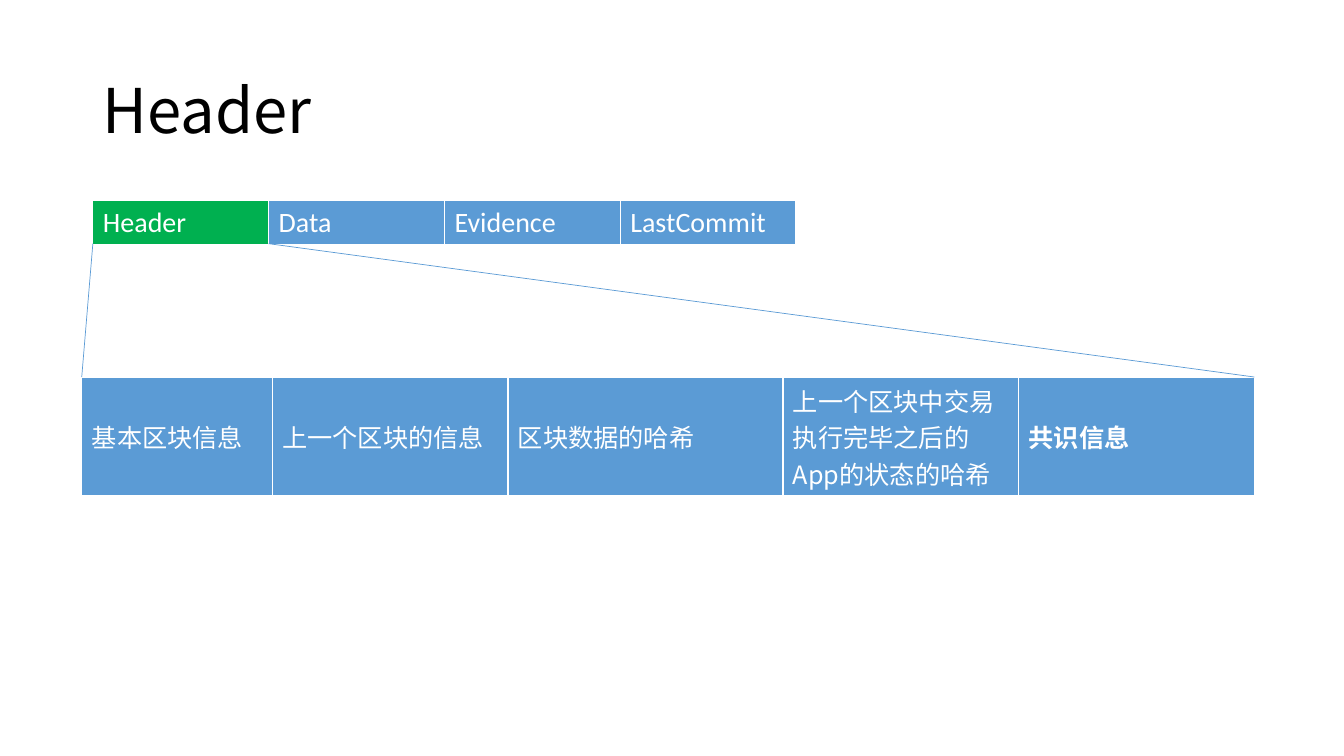
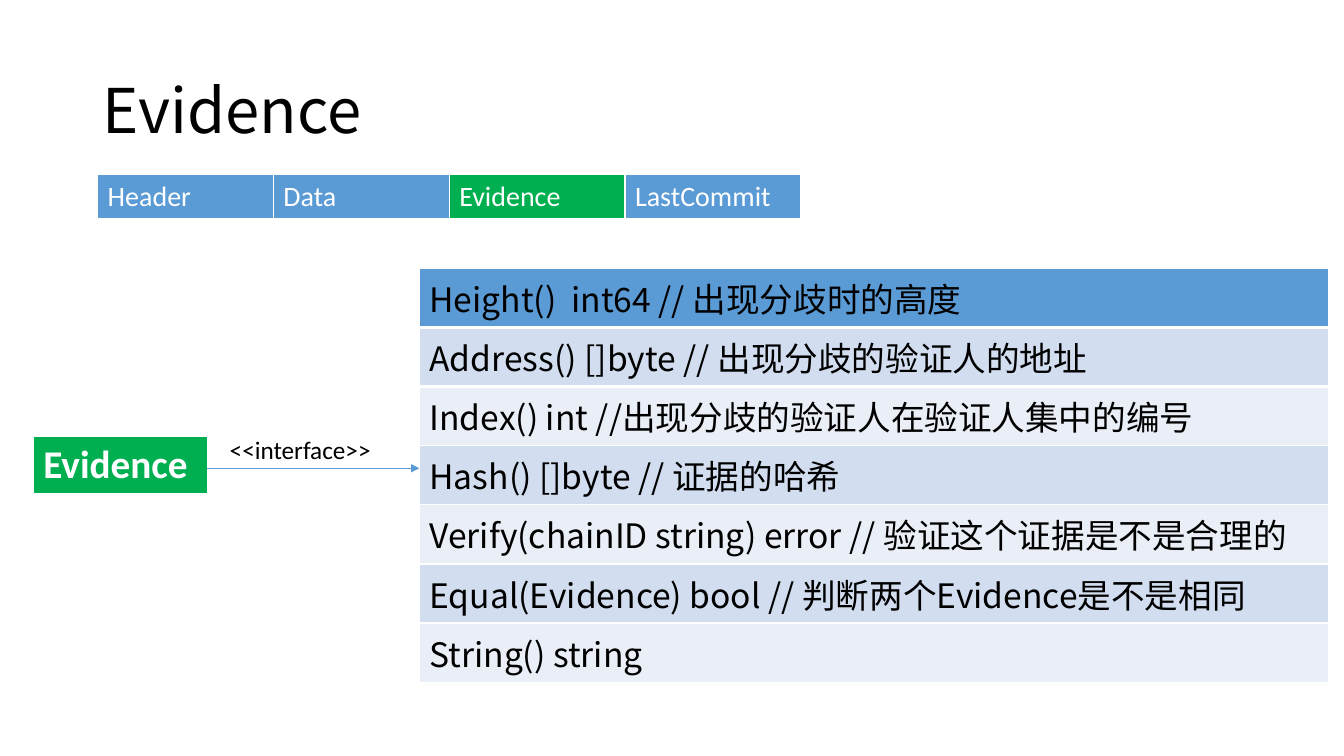
from lxml import etree
from pptx import Presentation
from pptx import util as u
from pptx.dml.color import RGBColor
from pptx.enum import shapes, text
from pptx.oxml.ns import qn

BLUE, GREEN, WHITE, BLACK = "5B9BD5", "00B050", "FFFFFF", "000000"
BANDS = ("D2DEEF", "EAEFF7")
LATIN, CJK = "Calibri", "Noto Sans CJK SC"
MIDDLE, TOP = text.MSO_ANCHOR.MIDDLE, text.MSO_ANCHOR.TOP

BLOCK_PARTS = ["Header", "Data", "Evidence", "LastCommit"]
PART_W, PART_H = 4.43, 1.09
HEADER_FIELDS = [
    ("基本区块信息", 4.8),
    ("上一个区块的信息", 5.94),
    ("区块数据的哈希", 6.93),
    ("上一个区块中交易执行完毕之后的App的状态的哈希", 5.94),
    ("共识信息", 5.94),
]
EVIDENCE_METHODS = [
    "Height()  int64 // 出现分歧时的高度",
    "Address() []byte // 出现分歧的验证人的地址",
    "Index() int //出现分歧的验证人在验证人集中的编号",
    "Hash() []byte // 证据的哈希",
    "Verify(chainID string) error // 验证这个证据是不是合理的",
    "Equal(Evidence) bool // 判断两个Evidence是不是相同",
    "String() string",
]


def rgb(color):
    return RGBColor.from_string(color)


def write(tf, words, size, font, color, bold=False):
    p = tf.paragraphs[0]
    p.text = words
    p.font.size, p.font.bold, p.font.name = u.Pt(size), bold, font
    p.font.color.rgb = rgb(color)
    defaults = p._p.get_or_add_pPr().find(qn("a:defRPr"))
    etree.SubElement(defaults, qn("a:ea"), typeface=font)
    return p


def add_text(s, words, x, y, w, h, size, font, anchor=TOP):
    tf = s.shapes.add_textbox(u.Cm(x), u.Cm(y), u.Cm(w), u.Cm(h)).text_frame
    tf.word_wrap = True
    tf.vertical_anchor = anchor
    return write(tf, words, size, font, BLACK)


def add_edge(cell, side, points):
    edge = etree.Element(qn(f"a:{side}"), w=str(u.Pt(points)))
    fill = etree.SubElement(edge, qn("a:solidFill"))
    etree.SubElement(fill, qn("a:srgbClr"), val=WHITE)
    cell._tc.get_or_add_tcPr().insert(0, edge)


def add_table(s, rows, x, y, widths, row_h, fill, size, font,
              color=WHITE, anchor=TOP, bold=()):
    table = s.shapes.add_table(
        len(rows), len(widths), u.Cm(x), u.Cm(y),
        u.Cm(sum(widths)), u.Cm(row_h * len(rows))).table
    for column, width in zip(table.columns, widths):
        column.width = u.Cm(width)
    for i, row in enumerate(rows):
        table.rows[i].height = u.Cm(row_h)
        for j, words in enumerate(row):
            cell = table.cell(i, j)
            cell.fill.solid()
            cell.fill.fore_color.rgb = rgb(fill(i, words))
            cell.vertical_anchor = anchor
            write(cell.text_frame, words, size, font, color, words in bold)
    return table


def add_line(s, x1, y1, x2, y2, arrow=False):
    line = s.shapes.add_connector(
        shapes.MSO_CONNECTOR.STRAIGHT, u.Cm(x1), u.Cm(y1), u.Cm(x2), u.Cm(y2))
    line.line.color.rgb = rgb(BLUE)
    line.line.width = u.Pt(0.5)
    props = line._element.spPr
    if arrow:
        etree.SubElement(props.find(qn("a:ln")), qn("a:tailEnd"), type="triangle")
    etree.SubElement(props, qn("a:effectLst"))


def add_block_slide(prs, part, x, y):
    s = prs.slides.add_slide(prs.slide_layouts[6])
    title = add_text(s, part, 2.34, 1.02, 29.21, 3.68, 44, CJK, MIDDLE)
    title.line_spacing = 0.9
    add_table(s, [BLOCK_PARTS], x, y, [PART_W] * len(BLOCK_PARTS), PART_H,
              lambda i, words: GREEN if words == part else BLUE, 20, LATIN)
    return s


prs = Presentation()
prs.slide_width, prs.slide_height = u.Cm(33.87), u.Cm(19.05)

block_x, block_y = 2.34, 5.05
fields_x, fields_y = 2.06, 9.5
names, widths = zip(*HEADER_FIELDS)
s = add_block_slide(prs, "Header", block_x, block_y)
add_table(s, [names], fields_x, fields_y, widths, 3,
          lambda i, words: BLUE, 18, CJK, anchor=MIDDLE, bold=names[-1:])
block_bottom = block_y + PART_H
add_line(s, block_x, block_bottom, fields_x, fields_y)
add_line(s, block_x + PART_W, block_bottom, fields_x + sum(widths), fields_y)

label_x, label_w = 0.84, 4.39
methods_x, arrow_y = 10.57, 11.8
s = add_block_slide(prs, "Evidence", 2.46, 4.4)
add_table(s, [["Evidence"]], label_x, 11, [label_w], 1.45,
          lambda i, words: GREEN, 28, LATIN, bold=["Evidence"])
methods = add_table(
    s, [[method] for method in EVIDENCE_METHODS], methods_x, 6.76, [22.91], 1.49,
    lambda i, words: BANDS[(i - 1) % 2] if i else BLUE, 24, CJK, BLACK, MIDDLE)
add_edge(methods.cell(0, 0), "lnB", 3)
add_edge(methods.cell(1, 0), "lnT", 3)
add_line(s, label_x + label_w, arrow_y, methods_x, arrow_y, arrow=True)
add_text(s, "<<interface>>", 5.54, 10.82, 4.09, 1.02, 18, LATIN)

prs.save("out.pptx")
